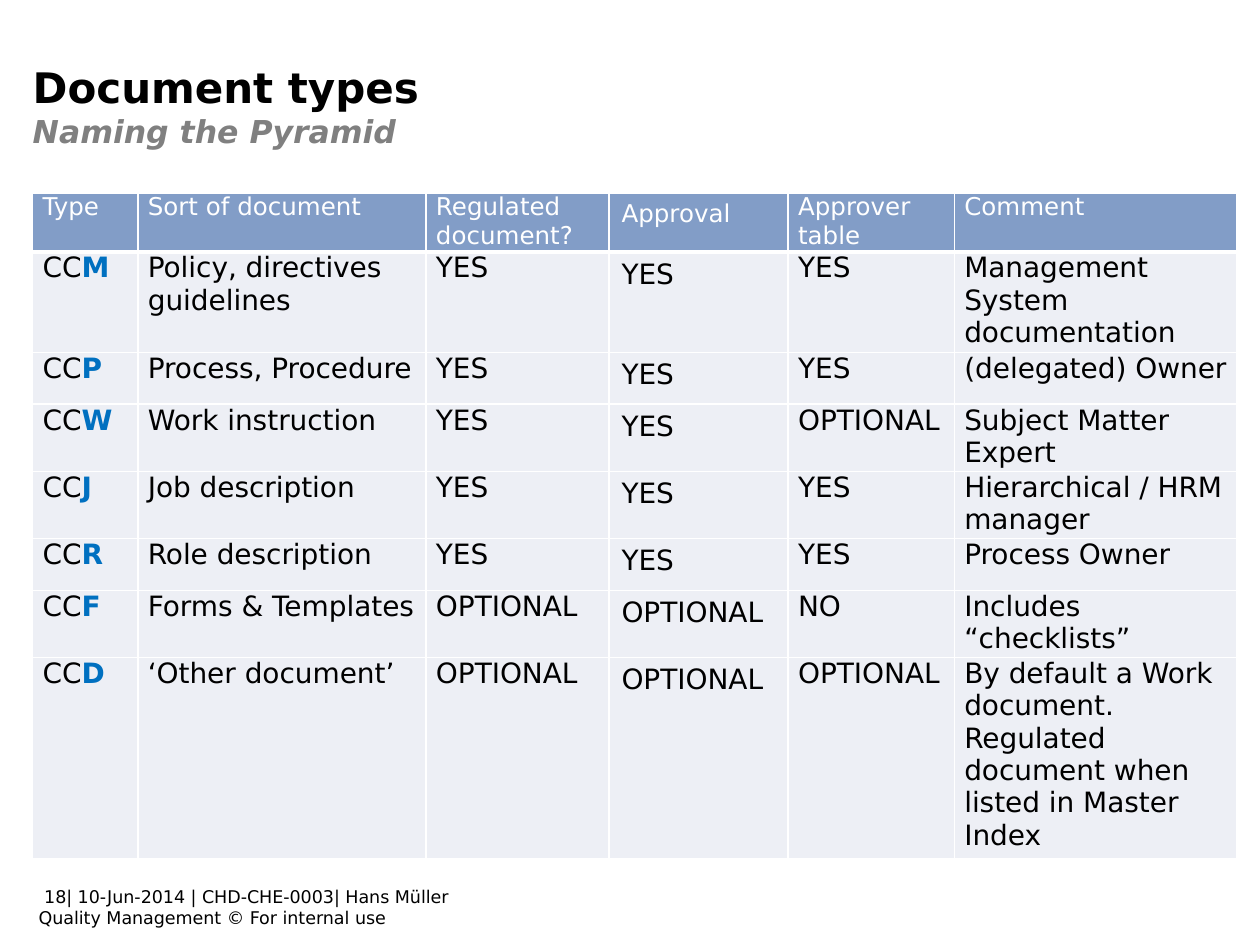
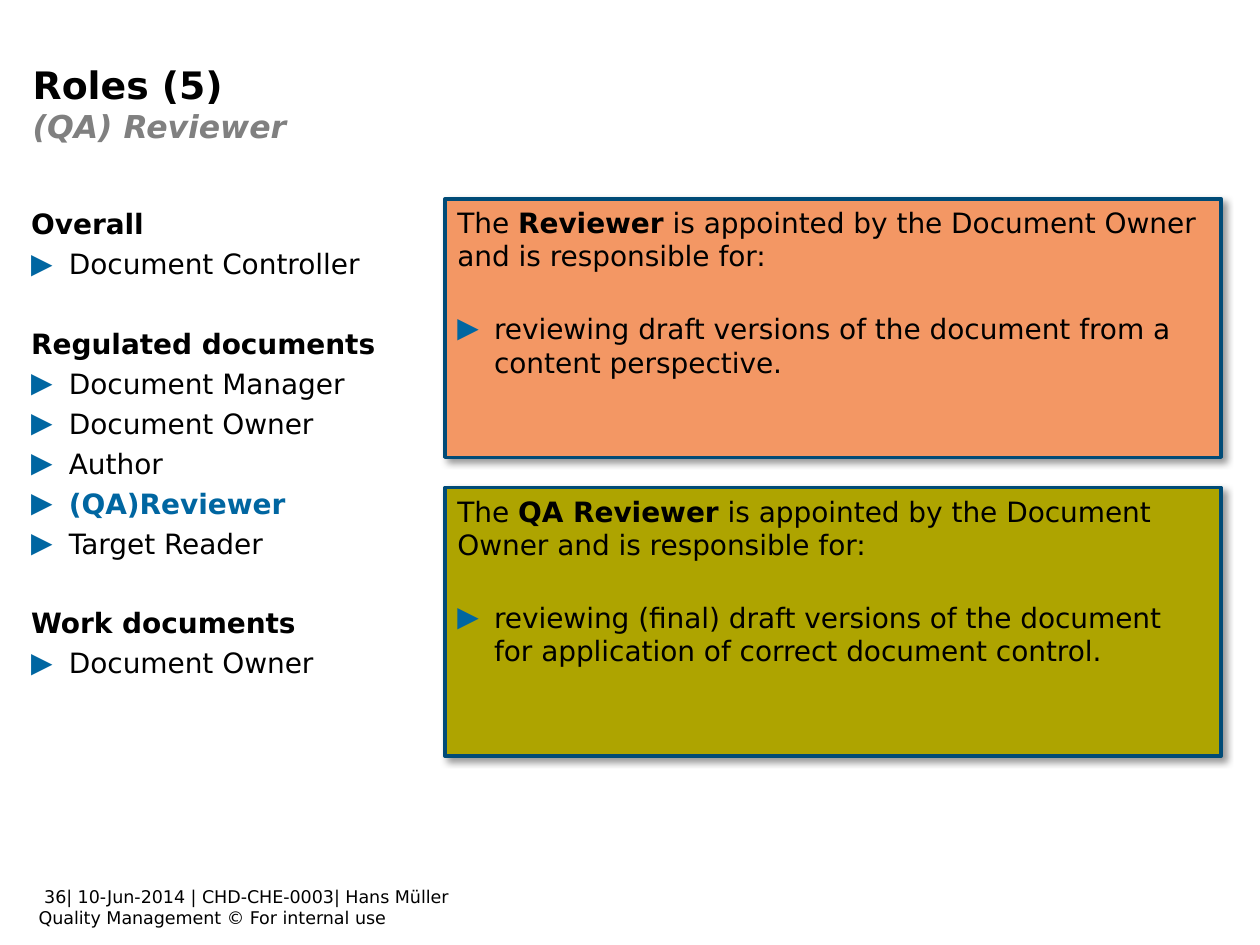
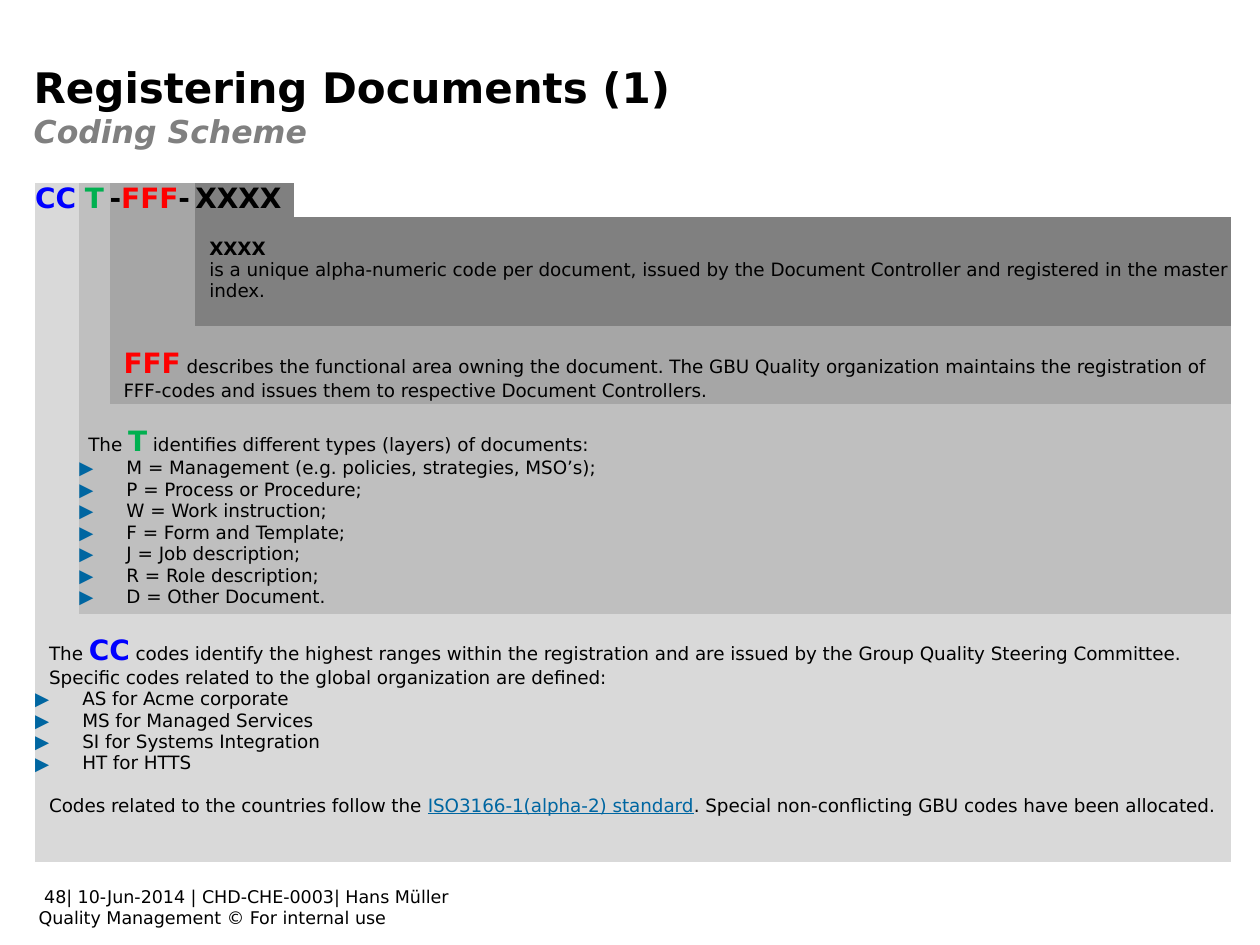
from dataclasses import dataclass
from typing import NamedTuple

from lxml import etree
from pptx import Presentation
from pptx import util as u
from pptx.dml.color import RGBColor
from pptx.enum import shapes, text
from pptx.oxml.ns import qn


@dataclass(frozen=True)
class Theme:
    font: str = "DejaVu Sans"
    black: str = "000000"
    white: str = "FFFFFF"
    subtitle: str = "808080"
    accent: str = "0066A1"
    letter: str = "0070C0"
    head_fill: str = "829DC7"
    row_fill: str = "EDEFF5"
    box_line: str = "004B77"
    reviewer_fill: str = "F39764"
    qa_fill: str = "AEA400"
    country: str = "0000FF"
    kind: str = "00B050"
    area: str = "FF0000"
    country_fill: str = "D9D9D9"
    kind_fill: str = "BFBFBF"
    area_fill: str = "A6A6A6"
    number_fill: str = "808080"
    title_size: float = 24
    title_small: float = 21.6
    subtitle_size: float = 18
    body_size: float = 16
    head_size: float = 14
    scheme_size: float = 10.5
    footer_size: float = 10
    gap: float = 3.7
    body_skip: float = 22.4
    scheme_skip: float = 12.2


THEME = Theme()
NO_STYLE = "{2D5ABB26-0587-4C30-8999-92F81FD0307C}"


class Frame(NamedTuple):
    left: float
    top: float
    width: float
    height: float

    def lengths(self) -> list:
        return [u.Cm(value) for value in self]


class Span(NamedTuple):
    text: str
    size: float = THEME.body_size
    color: str = THEME.black
    bold: bool = False
    italic: bool = False
    underline: bool = False


@dataclass
class Para:
    spans: list
    before: float = 0
    indent: float = 0
    bullet: bool = False
    align: text.PP_ALIGN = text.PP_ALIGN.LEFT


@dataclass
class Panel:
    frame: Frame
    fill: str
    role: str
    opening: str
    duty: str


@dataclass
class SchemeCell:
    row: int
    column: int
    fill: str
    paras: list
    end_row: int
    end_column: int
    top: float = 0


TITLE_FRAME = Frame(0.41, 1.04, 24.31, 2.11)
FOOTER_FRAME = Frame(0.53, 17.73, 14.38, 1.12)


def small(words: str) -> Span:
    return Span(words, THEME.scheme_size)


def strong(words: str, color: str = THEME.black) -> Span:
    return Span(words, color=color, bold=True)


def add_element(parent, tag: str, **values: str):
    return etree.SubElement(parent, qn(tag), values)


def add_color(parent, tag: str, color: str):
    return add_element(add_element(parent, tag), "a:srgbClr", val=color)


def set_margins(holder, left: float, top: float, right: float, bottom: float) -> None:
    margins = {"left": left, "top": top, "right": right, "bottom": bottom}
    for side, value in margins.items():
        setattr(holder, f"margin_{side}", u.Cm(value))


def add_span(para, span: Span) -> None:
    run = para.add_run()
    run.text = span.text
    values = {
        "name": THEME.font,
        "size": u.Pt(span.size),
        "bold": span.bold,
        "italic": span.italic,
        "underline": span.underline,
    }
    for name, value in values.items():
        setattr(run.font, name, value)
    run.font.color.rgb = RGBColor.from_string(span.color)


def write(body, paras: list) -> None:
    for index, item in enumerate(paras):
        para = body.add_paragraph() if index else body.paragraphs[0]
        if item.indent:
            properties = para._p.get_or_add_pPr()
            indent = str(u.Cm(item.indent))
            properties.set("marL", indent)
            if item.bullet:
                properties.set("indent", f"-{indent}")
                add_color(properties, "a:buClr", THEME.accent)
                add_element(properties, "a:buFont", typeface=THEME.font)
                add_element(properties, "a:buChar", char="▶")
        para.alignment = item.align
        if item.before and index:
            para.space_before = u.Pt(item.before)
        for span in item.spans:
            add_span(para, span)


def add_text(page, frame: Frame, paras: list, top: float = 0.13):
    box = page.shapes.add_textbox(*frame.lengths())
    box.text_frame.word_wrap = True
    set_margins(box.text_frame, 0.25, top, 0.25, 0.13)
    write(box.text_frame, paras)
    return box


def add_page(deck, number: int, title: str, subtitle: str,
             size: float = THEME.title_size, frame: Frame = TITLE_FRAME):
    page = deck.slides.add_slide(deck.slide_layouts[6])
    footer = [f" {number}| 10-Jun-2014 | CHD-CHE-0003| Hans Müller",
              "Quality Management © For internal use"]
    add_text(page, FOOTER_FRAME,
             [Para([Span(line, THEME.footer_size)]) for line in footer])
    box = add_text(page, frame, [Para([Span(title, size, bold=True)])], top=0.2)
    para = box.text_frame.paragraphs[0]
    para.add_line_break()
    add_span(para, Span(subtitle, THEME.subtitle_size, THEME.subtitle, True, True))
    return page


def add_grid(page, frame: Frame, columns: list, rows: list):
    holder = page.shapes.add_table(len(rows), len(columns), *frame.lengths())
    for style in holder.element.iter(qn("a:tableStyleId")):
        style.text = NO_STYLE
    for column, width in zip(holder.table.columns, columns):
        column.width = u.Cm(width)
    for row, height in zip(holder.table.rows, rows):
        row.height = u.Cm(height)
    return holder.table


def fill_cell(cell, color: str) -> None:
    cell.fill.solid()
    cell.fill.fore_color.rgb = RGBColor.from_string(color)


def add_borders(cell, bottom: float) -> None:
    properties = cell._tc.get_or_add_tcPr()
    widths = {"a:lnL": 1, "a:lnR": 1, "a:lnT": 1, "a:lnB": bottom}
    for index, (tag, width) in enumerate(widths.items()):
        line = add_element(properties, tag, w=str(u.Pt(width)))
        add_color(line, "a:solidFill", THEME.white)
        properties.insert(index, line)


def draw_types(deck) -> None:
    page = add_page(deck, 18, "Document types", "Naming the Pyramid")
    head = ["Type", "Sort of document", "Regulated document?", "Approval",
            "Approver table", "Comment"]
    yes, optional = "YES", "OPTIONAL"
    records = [
        ("M", "Policy, directives guidelines", yes, yes, yes,
         "Management System documentation"),
        ("P", "Process, Procedure", yes, yes, yes, "(delegated) Owner"),
        ("W", "Work instruction", yes, yes, optional, "Subject Matter Expert"),
        ("J", "Job description", yes, yes, yes, "Hierarchical / HRM manager"),
        ("R", "Role description", yes, yes, yes, "Process Owner"),
        ("F", "Forms & Templates", optional, optional, "NO", "Includes “checklists”"),
        ("D", "‘Other document’", optional, optional, optional,
         "By default a Work document. Regulated document when listed in Master Index"),
    ]
    lines = [[[Span(label, THEME.head_size, THEME.white)] for label in head]]
    for letter, *values in records:
        code = [Span("CC"), strong(letter, THEME.letter)]
        lines.append([code] + [[Span(value)] for value in values])
    grid = add_grid(page, Frame(0.66, 3.89, 24.28, 8.32),
                    [2.12, 5.81, 3.69, 3.61, 3.35, 5.7], [1.04] * len(lines))
    approval = head.index("Approval")
    for row, line in enumerate(lines):
        for column, spans in enumerate(line):
            cell = grid.cell(row, column)
            margins = (0.25, 0.13, 0.25, 0.13) if column == approval else (0.2, 0, 0, 0)
            set_margins(cell, *margins)
            write(cell.text_frame, [Para(spans)])
            fill_cell(cell, THEME.row_fill if row else THEME.head_fill)
            add_borders(cell, 1 if row else 3)


def draw_panel(page, panel: Panel) -> None:
    box = page.shapes.add_shape(shapes.MSO_SHAPE.RECTANGLE, *panel.frame.lengths())
    box.fill.solid()
    box.fill.fore_color.rgb = RGBColor.from_string(panel.fill)
    box.line.color.rgb = RGBColor.from_string(THEME.box_line)
    box.line.width = u.Pt(2)
    box.shadow.inherit = False
    effects = box.element.spPr.find(qn("a:effectLst"))
    shadow = add_element(effects, "a:outerShdw", blurRad=str(u.Pt(4)),
                         dist=str(u.Pt(3)), dir="2700000", algn="tl", rotWithShape="0")
    add_element(add_element(shadow, "a:srgbClr", val=THEME.black), "a:alpha", val="40000")
    body = box.text_frame
    body.word_wrap = True
    body.vertical_anchor = text.MSO_ANCHOR.TOP
    set_margins(body, 0.25, 0.13, 0.25, 0.13)
    write(body, [
        Para([Span("The "), strong(panel.role), Span(panel.opening)]),
        Para([Span(panel.duty)], THEME.body_skip, 0.74, True),
    ])


def draw_roles(deck) -> None:
    page = add_page(deck, 36, "Roles (5)", "(QA) Reviewer", THEME.title_small)
    current = "(QA)Reviewer"
    groups = {
        "Overall": ["Document Controller"],
        "Regulated documents": ["Document Manager", "Document Owner", "Author",
                                current, "Target Reader"],
        "Work documents": ["Document Owner"],
    }
    paras = []
    for heading, roles in groups.items():
        paras.append(Para([strong(heading)], THEME.gap + THEME.body_skip))
        for role in roles:
            span = strong(role, THEME.accent) if role == current else Span(role)
            paras.append(Para([span], THEME.gap, 0.76, True))
    add_text(page, Frame(0.38, 4.04, 24.31, 12.88), paras)
    opening = " is appointed by the Document Owner and is responsible for:"
    panels = [
        Panel(Frame(8.97, 9.83, 15.65, 5.41), THEME.qa_fill, "QA Reviewer", opening,
              "reviewing (final) draft versions of the document for application of "
              "correct document control."),
        Panel(Frame(8.97, 4.01, 15.65, 5.21), THEME.reviewer_fill, "Reviewer", opening,
              "reviewing draft versions of the document from a content perspective."),
    ]
    for panel in panels:
        draw_panel(page, panel)


def scheme_bullets(items: list) -> list:
    return [Para([small(item)], indent=0.95, bullet=True) for item in items]


def draw_scheme(deck) -> None:
    page = add_page(deck, 48, "Registering Documents (1)", "Coding Scheme",
                    frame=Frame(0.43, 1.04, 17.63, 2.11))
    country, kind = strong("CC", THEME.country), strong("T", THEME.kind)
    area = strong("FFF", THEME.area)
    number_paras = [
        Para([Span("XXXX", THEME.scheme_size, bold=True)], indent=0.28),
        Para([small("is a unique alpha-numeric code per document, issued by the Document "
                    "Controller and registered in the master index.")], indent=0.28),
    ]
    area_paras = [
        Para([area, small(" describes the functional area owning the document. The GBU "
                          "Quality organization maintains the registration of FFF-codes "
                          "and issues them to respective Document Controllers.")],
             indent=0.28),
    ]
    kind_paras = [
        Para([small("The "), kind,
              small(" identifies different types (layers) of documents:")], indent=0.18),
        *scheme_bullets(["M = Management (e.g. policies, strategies, MSO’s);",
                         "P = Process or Procedure;", "W = Work instruction;",
                         "F = Form and Template;", "J = Job description;",
                         "R = Role description;", "D = Other Document."]),
    ]
    country_paras = [
        Para([small("The "), country,
              small(" codes identify the highest ranges within the registration and are "
                    "issued by the Group Quality Steering Committee. Specific codes "
                    "related to the global organization are defined:")], indent=0.28),
        *scheme_bullets(["AS for Acme corporate", "MS for Managed Services",
                         "SI for Systems Integration", "HT for HTTS"]),
        Para([small("Codes related to the countries follow the "),
              Span("ISO3166-1(alpha-2) standard", THEME.scheme_size, THEME.accent,
                   underline=True),
              small(". Special non-conflicting GBU codes have been allocated.")],
             THEME.scheme_skip, 0.28),
    ]
    skip = 0.43
    cells = [
        SchemeCell(0, 0, THEME.country_fill, [Para([country])], 0, 0),
        SchemeCell(0, 1, THEME.kind_fill,
                   [Para([kind], align=text.PP_ALIGN.CENTER)], 0, 1),
        SchemeCell(0, 2, THEME.area_fill, [Para([strong("-"), area, strong("-")])], 0, 2),
        SchemeCell(0, 3, THEME.number_fill, [Para([strong("XXXX")])], 0, 3),
        SchemeCell(1, 0, THEME.country_fill, [], 2, 0),
        SchemeCell(1, 1, THEME.kind_fill, [], 2, 1),
        SchemeCell(1, 2, THEME.area_fill, [], 1, 2),
        SchemeCell(1, 3, THEME.number_fill, number_paras, 1, 4, skip),
        SchemeCell(2, 2, THEME.area_fill, area_paras, 2, 4, skip),
        SchemeCell(3, 0, THEME.country_fill, [], 3, 0),
        SchemeCell(3, 1, THEME.kind_fill, kind_paras, 3, 4, skip),
        SchemeCell(4, 0, THEME.country_fill, country_paras, 4, 4, skip),
    ]
    grid = add_grid(page, Frame(0.71, 3.68, 24.11, 13.69),
                    [0.89, 0.61, 1.73, 1.98, 18.9], [0.69, 2.21, 1.57, 4.22, 5])
    for cell in grid.iter_cells():
        set_margins(cell, 0, 0, 0, 0)
    blank = grid.cell(0, 4)
    blank.fill.background()
    add_element(blank.text_frame.paragraphs[0]._p, "a:endParaRPr",
                sz=str(THEME.body_size * 100))
    for item in cells:
        cell = grid.cell(item.row, item.column)
        end = grid.cell(item.end_row, item.end_column)
        if (item.row, item.column) != (item.end_row, item.end_column):
            cell.merge(end)
        fill_cell(cell, item.fill)
        cell.margin_top = u.Cm(item.top)
        write(cell.text_frame, item.paras)


def main() -> None:
    deck = Presentation()
    deck.slide_width, deck.slide_height = u.Cm(25.4), u.Cm(19.05)
    for draw in (draw_types, draw_roles, draw_scheme):
        draw(deck)
    deck.save("out.pptx")


if __name__ == "__main__":
    main()
